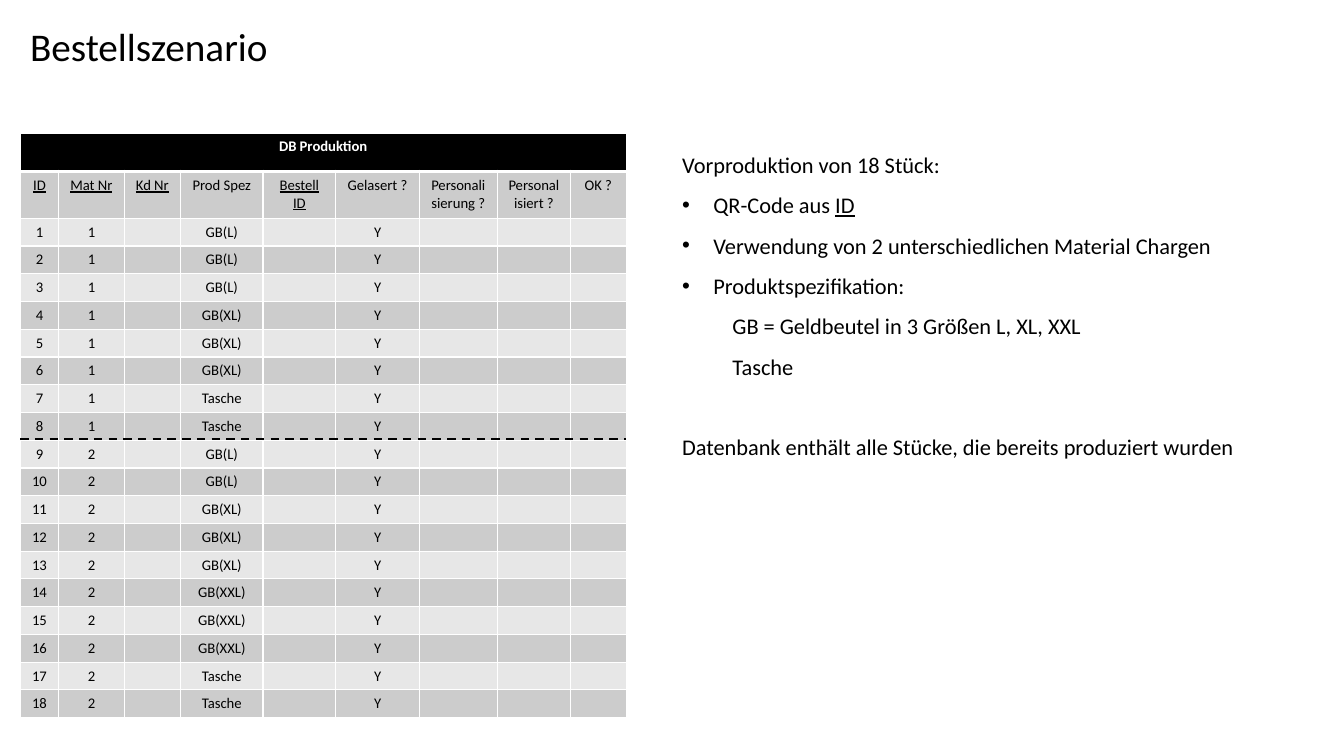
from lxml.etree import SubElement
from pptx import Presentation
from pptx.dml.color import RGBColor
from pptx.enum.dml import MSO_LINE
from pptx.enum.shapes import MSO_CONNECTOR
from pptx.enum.text import PP_ALIGN
from pptx.oxml.ns import qn
from pptx.util import Cm, Pt

BLACK = RGBColor(0x00, 0x00, 0x00)
WHITE = RGBColor(0xFF, 0xFF, 0xFF)
DARK_BAND = RGBColor(0xCC, 0xCC, 0xCC)
LIGHT_BAND = RGBColor(0xE7, 0xE7, 0xE7)
FONT = "Calibri"
TABLE_SIZE = 10.5

LEFT = 0.51
TABLE_TOP = 3.35
COLUMN_WIDTHS = [0.97, 1.65, 1.42, 2.08, 1.83, 2.11, 1.96, 1.85, 1.4]
TITLE_ROW, HEADING_ROW, PIECE_ROW = 0.97, 1.18, 0.7

HEADINGS = ["ID", "Mat Nr", "Kd Nr", "Prod Spez", "Bestell ID", "Gelasert ?",
            "Personalisierung ?", "Personalisiert ?", "OK ?"]
KEY_HEADINGS = {"ID", "Mat Nr", "Kd Nr", "Bestell ID"}
# Material number, product specification, number of pieces
BATCHES = [(1, "GB(L)", 3), (1, "GB(XL)", 3), (1, "Tasche", 2),
           (2, "GB(L)", 2), (2, "GB(XL)", 3), (2, "GB(XXL)", 3), (2, "Tasche", 2)]


def format_run(run, size, color=BLACK, bold=False, underline=False):
    font = run.font
    font.name, font.size, font.bold = FONT, Pt(size), bold
    font.color.rgb = color
    if underline:
        font.underline = True


def add_text_box(slide, left, top, width, height):
    box = slide.shapes.add_textbox(Cm(left), Cm(top), Cm(width), Cm(height))
    box.text_frame.word_wrap = True
    return box.text_frame


def add_title(slide, text):
    paragraph = add_text_box(slide, LEFT, 0.43, 11.66, 1.45).paragraphs[0]
    paragraph.text = text
    format_run(paragraph.runs[0], 28)


def add_note(text_frame, *texts, bullet=False, indent=0.0, space_before=0):
    """Append a paragraph; every text after the first is underlined."""
    paragraph = text_frame.paragraphs[0]
    if paragraph.runs:
        paragraph = text_frame.add_paragraph()
    paragraph.line_spacing = 1.5
    paragraph.space_before = Pt(space_before)
    properties = paragraph._p.get_or_add_pPr()
    properties.set("marL", str(Cm(indent)))
    properties.set("indent", str(-Cm(indent) if bullet else 0))
    if bullet:
        SubElement(properties, qn("a:buFont"), typeface="Arial")
        SubElement(properties, qn("a:buChar"), char="•")
    for index, text in enumerate(texts):
        run = paragraph.add_run()
        run.text = text
        format_run(run, 16, underline=index > 0)


def add_notes(slide):
    notes = add_text_box(slide, 16.94, TABLE_TOP, 16.93, 9.83)
    add_note(notes, "Vorproduktion von 18 Stück:")
    add_note(notes, "QR-Code aus ", "ID", bullet=True, indent=0.79)
    for text in ("Verwendung von 2 unterschiedlichen Material Chargen",
                 "Produktspezifikation:"):
        add_note(notes, text, bullet=True, indent=0.79)
    for text in ("GB = Geldbeutel in 3 Größen L, XL, XXL", "Tasche"):
        add_note(notes, text, indent=1.27)
    add_note(notes, "Datenbank enthält alle Stücke, die bereits produziert wurden",
             space_before=29)


def set_borders(cell, top=1, bottom=1):
    properties = cell._tc.get_or_add_tcPr()
    for side, width in (("L", 1), ("R", 1), ("T", top), ("B", bottom)):
        line = SubElement(properties, qn(f"a:ln{side}"), w=str(Pt(width)))
        fill = SubElement(line, qn("a:solidFill"))
        SubElement(fill, qn("a:srgbClr"), val=str(WHITE))


def fill_cell(cell, text, background, top=1, bottom=1, **font):
    set_borders(cell, top, bottom)
    cell.fill.solid()
    cell.fill.fore_color.rgb = background
    paragraph = cell.text_frame.paragraphs[0]
    paragraph.alignment = PP_ALIGN.CENTER
    if text:
        paragraph.text = text
        format_run(paragraph.runs[0], TABLE_SIZE, **font)
    else:
        SubElement(paragraph._p, qn("a:endParaRPr"), sz=str(int(TABLE_SIZE * 100)))


def piece_rows():
    pieces = [(material, product) for material, product, count in BATCHES
              for _ in range(count)]
    return [[str(number), str(material), "", product, "", "Y", "", "", ""]
            for number, (material, product) in enumerate(pieces, 1)]


def add_production_table(slide):
    pieces = piece_rows()
    heights = [TITLE_ROW, HEADING_ROW] + [PIECE_ROW] * len(pieces)
    table = slide.shapes.add_table(
        len(heights), len(HEADINGS), Cm(LEFT), Cm(TABLE_TOP),
        Cm(sum(COLUMN_WIDTHS)), Cm(sum(heights))).table
    table.first_row = table.horz_banding = False
    for column, width in zip(table.columns, COLUMN_WIDTHS):
        column.width = Cm(width)
    for row, height in zip(table.rows, heights):
        row.height = Cm(height)

    for index in range(len(HEADINGS)):
        fill_cell(table.cell(0, index), "" if index else "DB Produktion", BLACK,
                  bottom=3, color=WHITE, bold=True)
    table.cell(0, 0).merge(table.cell(0, len(HEADINGS) - 1))
    for index, heading in enumerate(HEADINGS):
        fill_cell(table.cell(1, index), heading, DARK_BAND, top=3,
                  underline=heading in KEY_HEADINGS)
    for row_index, values in enumerate(pieces, 2):
        band = DARK_BAND if row_index % 2 else LIGHT_BAND
        for column_index, value in enumerate(values):
            fill_cell(table.cell(row_index, column_index), value, band)


def add_dashed_line(slide, left, right, y):
    connector = slide.shapes.add_connector(
        MSO_CONNECTOR.STRAIGHT, Cm(left), Cm(y), Cm(right), Cm(y))
    connector.line.color.rgb = BLACK
    connector.line.width = Pt(1.5)
    connector.line.dash_style = MSO_LINE.DASH
    SubElement(connector._element.spPr, qn("a:effectLst"))


def main():
    presentation = Presentation()
    presentation.slide_width = Cm(33.87)
    presentation.slide_height = Cm(19.05)
    slide = presentation.slides.add_slide(presentation.slide_layouts[6])
    add_title(slide, "Bestellszenario")
    add_notes(slide)
    add_production_table(slide)
    add_dashed_line(slide, LEFT, LEFT + sum(COLUMN_WIDTHS), 11.07)
    presentation.save("out.pptx")


if __name__ == "__main__":
    main()
